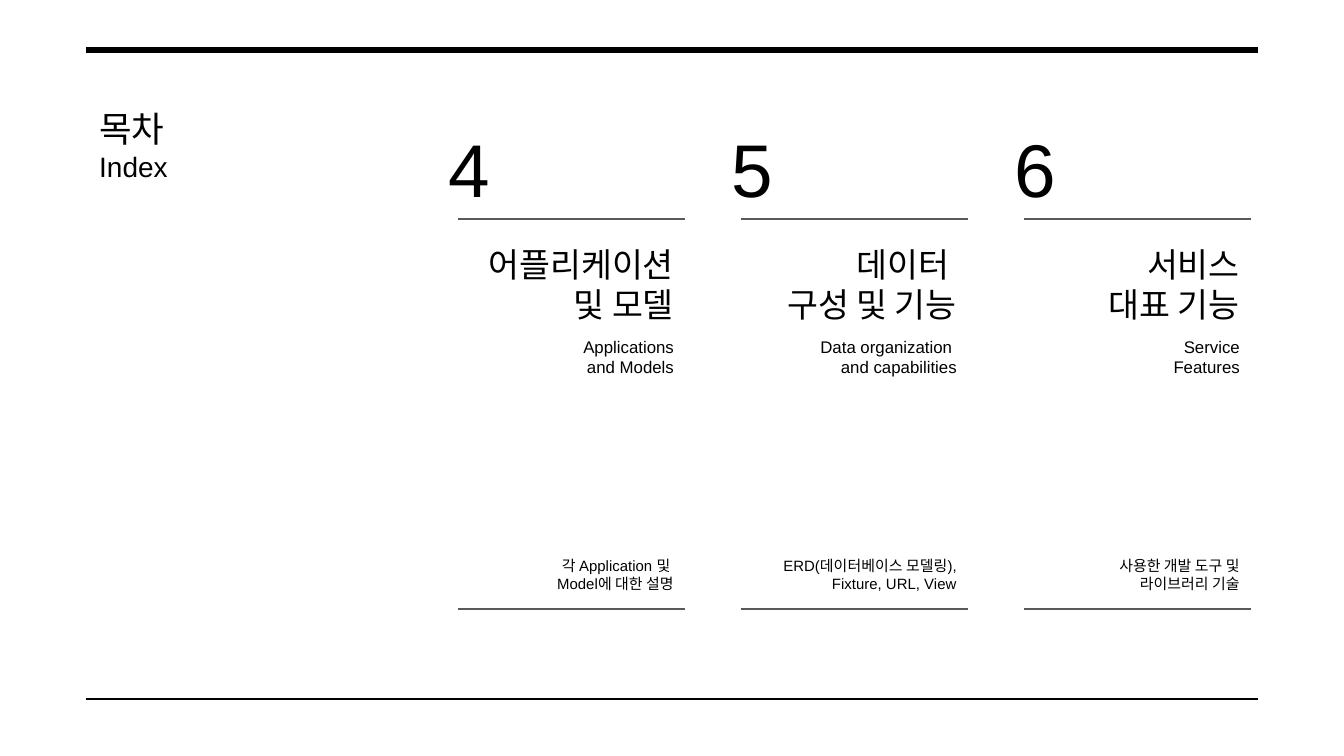
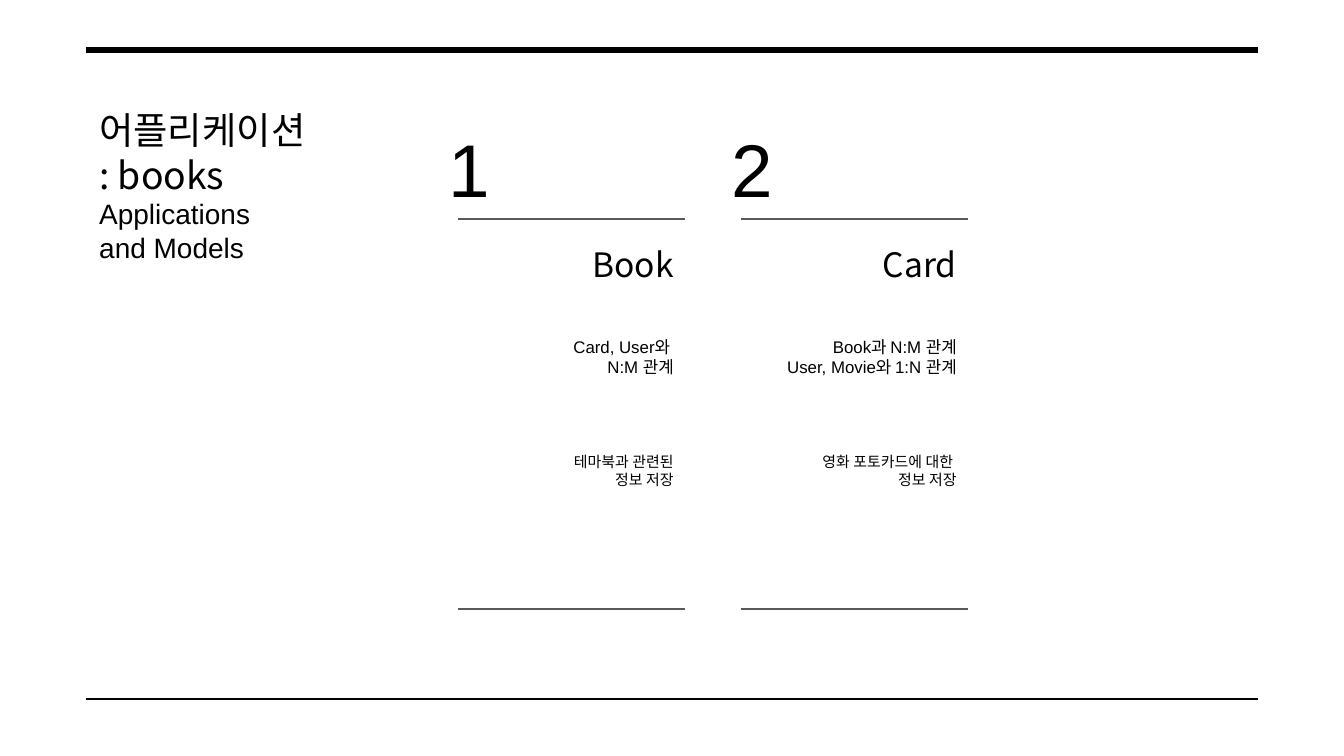
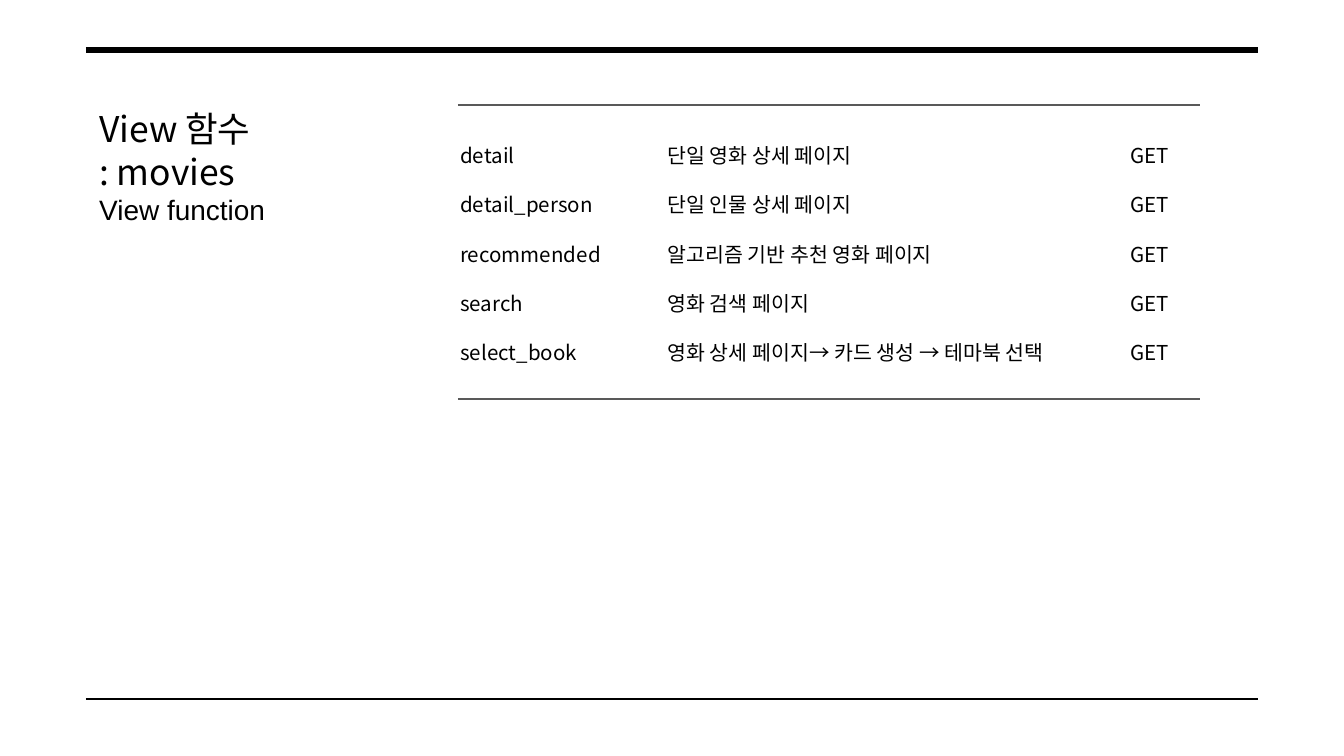
from lxml import etree
from pptx import Presentation
from pptx.dml.color import RGBColor
from pptx.enum.shapes import MSO_CONNECTOR
from pptx.enum.text import MSO_ANCHOR, PP_ALIGN
from pptx.oxml.ns import qn
from pptx.util import Emu, Pt

LINE = MSO_CONNECTOR.STRAIGHT
TOP, MID = MSO_ANCHOR.TOP, MSO_ANCHOR.MIDDLE
LEFT, RIGHT = PP_ALIGN.LEFT, PP_ALIGN.RIGHT

COLORS = {"ink": "000000", "rule": "595959", "page": "FFFFFF"}
LATIN, HANGUL = "Arial", "Noto Sans CJK KR"
SCALE = 914400 / 134.4
WIDE, HIGH = 1344, 756
PAD = Emu(91440)
EDGE, END = 86, 1258
COL, PITCH, SPAN = 458, 283, 227

INDEX = {
    "title": (["목차"], 19, ["Index"]),
    "note_top": 543,
    "cards": [
        ("4", (["어플리케이션 및 모델"], 239), (["Applications and Models"], 148),
         ["각 Application 및 ", "Model에 대한 설명"]),
        ("5", (["데이터 ", "구성 및 기능"], 222), (["Data organization ", "and capabilities"], 203),
         ["ERD(데이터베이스 모델링),", "Fixture, URL, View"]),
        ("6", (["서비스", "대표 기능"], 227), (["Service", "Features"], 148),
         ["사용한 개발 도구 및", "라이브러리 기술"]),
    ],
}
BOOKS = {
    "title": (["어플리케이션", ": books"], 20, ["Applications", "and Models"]),
    "note_top": 439,
    "cards": [
        ("1", (["Book"], 148), (["Card, User와 ", "N:M 관계"], 202),
         ["테마북과 관련된", "정보 저장"]),
        ("2", (["Card"], 148), (["Book과 N:M 관계", "User, Movie와 1:N 관계"], 222),
         ["영화 포토카드에 대한 ", "정보 저장"]),
    ],
}
VIEWS = {
    "title": (["View 함수", ": movies"], 19, ["View function"]),
    "rows": [
        ("detail", "단일 영화 상세 페이지", "GET"),
        ("detail_person", "단일 인물 상세 페이지", "GET"),
        ("recommended", "알고리즘 기반 추천 영화 페이지", "GET"),
        ("search", "영화 검색 페이지", "GET"),
        ("select_book", "영화 상세 페이지→ 카드 생성 → 테마북 선택", "GET"),
    ],
    "spans": [(447, 700), (654, 475), (1117, 82)],
}


def px(n):
    return Emu(round(n * SCALE))


def rule(slide, left, right, y, color="rule", weight=0.75):
    line = slide.shapes.add_connector(LINE, px(left), px(y), px(right), px(y))
    line.line.color.rgb = RGBColor.from_string(COLORS[color])
    line.line.width = Pt(weight)
    etree.SubElement(line._element.spPr, qn("a:effectLst"))


def text(slide, box, parts, align=LEFT, anchor=TOP, gap=None):
    frame = slide.shapes.add_textbox(*map(px, box)).text_frame
    frame.word_wrap = True
    frame.vertical_anchor = anchor
    frame.margin_left = frame.margin_right = PAD
    frame.margin_top = frame.margin_bottom = PAD
    styles = [(size, face) for lines, size, face in parts for _ in lines]
    frame.text = "\n".join(line for lines, _, _ in parts for line in lines)
    for para, (size, face) in zip(frame.paragraphs, styles):
        para.alignment = align
        if gap:
            para.line_spacing = gap
        for run in para.runs:
            run.font.size = Pt(size)
            run.font.name = face
            run.font.color.rgb = RGBColor.from_string(COLORS["ink"])
            east = etree.SubElement(run.font._element, qn("a:ea"))
            east.set("typeface", HANGUL)


def page(deck, title):
    slide = deck.slides.add_slide(deck.slide_layouts[6])
    fill = slide.background.fill
    fill.solid()
    fill.fore_color.rgb = RGBColor.from_string(COLORS["page"])
    rule(slide, EDGE, END, 699, "ink")
    rule(slide, EDGE, END, 50, "ink", 3)
    head, size, sub = title
    text(slide, (EDGE, 94, 362, 149), [(head, size, HANGUL), (sub, 15, LATIN)])
    return slide


def cards(deck, data):
    slide = page(deck, data["title"])
    for i, (num, head, sub, note) in enumerate(data["cards"]):
        left = COL + i * PITCH
        text(slide, (left - 23, 102, 103, 132), [([num], 40, LATIN)], anchor=MID)
        blocks = [
            (*head, 230, 75, 18, HANGUL),
            (*sub, 323, 65, 9, LATIN),
            (note, 222, data["note_top"], 207, 8, LATIN),
        ]
        for lines, width, top, height, size, face in blocks:
            box = (left + SPAN + 2 - width, top, width, height)
            text(slide, box, [(lines, size, face)], RIGHT)
        for y in (219, 609):
            rule(slide, left, left + SPAN, y)


def views(deck, data):
    slide = page(deck, data["title"])
    for (left, width), lines in zip(data["spans"], zip(*data["rows"])):
        text(slide, (left, 105, width, 75), [(lines, 11, HANGUL)], gap=2.0)
    for y in (105, 399):
        rule(slide, COL, 1200, y)


def main():
    deck = Presentation()
    deck.slide_width, deck.slide_height = px(WIDE), px(HIGH)
    cards(deck, INDEX)
    cards(deck, BOOKS)
    views(deck, VIEWS)
    deck.save("out.pptx")


if __name__ == "__main__":
    main()
